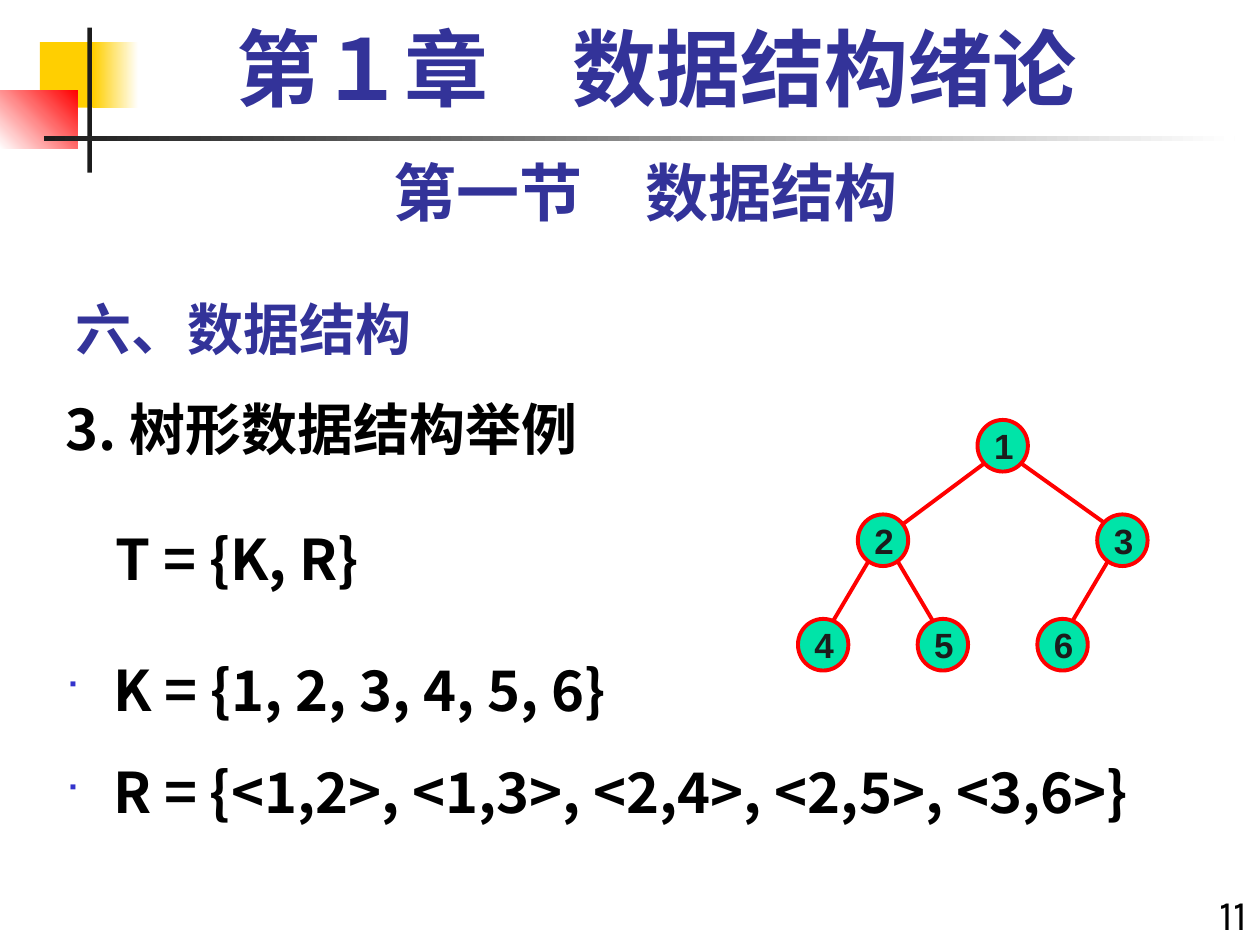
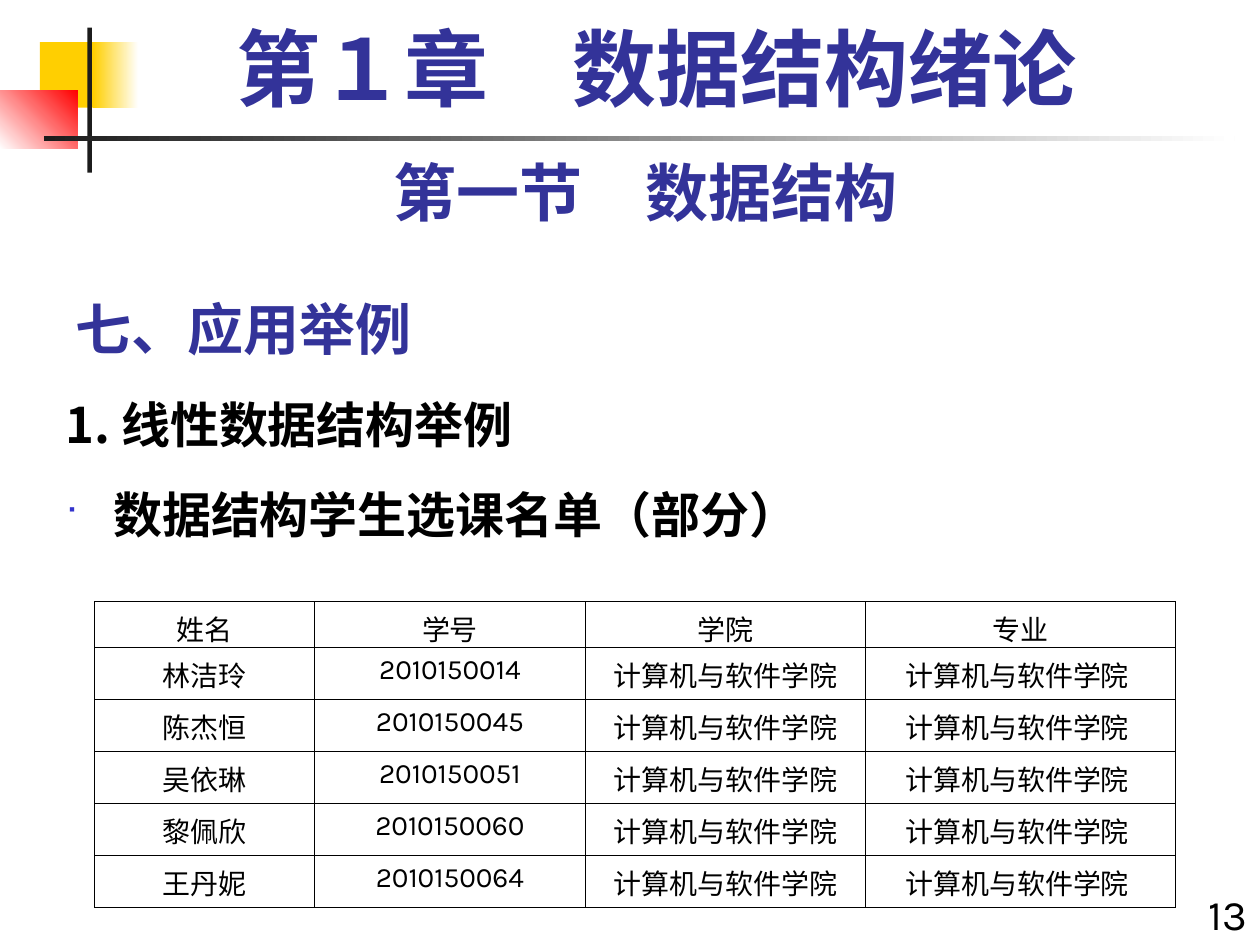
from dataclasses import dataclass

from lxml import etree
from pptx import Presentation
from pptx.dml.color import RGBColor
from pptx.enum.shapes import MSO_CONNECTOR, MSO_SHAPE
from pptx.enum.text import MSO_ANCHOR, PP_ALIGN
from pptx.oxml.ns import qn
from pptx.util import Inches, Pt

RECT, OVAL, STRAIGHT = MSO_SHAPE.RECTANGLE, MSO_SHAPE.OVAL, MSO_CONNECTOR.STRAIGHT
LEFT, CENTER, RIGHT = PP_ALIGN.LEFT, PP_ALIGN.CENTER, PP_ALIGN.RIGHT
TOP, BOTTOM = MSO_ANCHOR.TOP, MSO_ANCHOR.BOTTOM


@dataclass(frozen=True)
class Theme:
    heading: str = "333399"
    ink: str = "000000"
    dark: str = "1C1C1C"
    white: str = "FFFFFF"
    yellow: str = "FFCF01"
    red: str = "FF0000"
    node: str = "00E4A8"
    bullet: str = "3333CC"
    chinese: str = "Noto Sans CJK SC"
    serif: str = "Times New Roman"
    sans: str = "Karla"
    digits: str = "Arial"
    symbols: str = "Wingdings"
    chapter_size: int = 48
    section_size: int = 36
    topic_size: int = 32
    page_size: int = 24
    node_size: int = 20
    table_size: int = 16


theme = Theme()
deck = Presentation()
deck.slide_width, deck.slide_height = Inches(10), Inches(7.5)
UNIT = deck.slide_width / 120  # the grid has 120 columns and 90 rows


def grid(*lengths):
    """Turn columns or rows of the grid into slide lengths."""
    return [round(length * UNIT) for length in lengths]


def write(frame, text, *, size, font=theme.chinese, color=theme.ink, bold=False,
          align=LEFT, anchor=TOP, before=0, after=0, spacing=None,
          margin=0, hanging=0, bullet=False):
    """Add one formatted paragraph to a text frame."""
    paragraph = frame.add_paragraph() if frame.text else frame.paragraphs[0]
    frame.word_wrap, frame.vertical_anchor = True, anchor
    paragraph.alignment = align
    paragraph.space_before, paragraph.space_after = Pt(before), Pt(after)
    if spacing:
        paragraph.line_spacing = spacing
    properties = paragraph._p.get_or_add_pPr()
    properties.set("marL", str(Inches(margin)))
    properties.set("indent", str(-Inches(hanging)))
    if bullet:
        tint = etree.SubElement(properties, qn("a:buClr"))
        etree.SubElement(tint, qn("a:srgbClr"), val=theme.bullet)
        etree.SubElement(properties, qn("a:buSzPct"), val="60000")
        etree.SubElement(properties, qn("a:buFont"), typeface=theme.symbols)
        etree.SubElement(properties, qn("a:buChar"), char="■")
    else:
        etree.SubElement(properties, qn("a:buNone"))
    run = paragraph.add_run()
    run.text = text
    run.font.size, run.font.bold, run.font.name = Pt(size), bold, font
    run.font.color.rgb = RGBColor.from_string(color)
    etree.SubElement(run.font._element, qn("a:ea"), typeface=theme.chinese)


# What the two slides share: bars (place, colours, angle) and headings
bars = [
    ((3.8, 4, 5.8, 6.25), [theme.yellow], 0),
    ((8.88, 4, 4.3, 6.25), [theme.yellow, theme.white], 0),
    ((0, 8.6, 7.4, 5.55), [theme.white, theme.red], 45),
    ((8.33, 2.64, 0.42, 13.8), [theme.dark], 0),
    ((4.2, 12.98, 113.4, 0.42), [theme.dark, theme.white], 0),
]
heading = dict(color=theme.heading, bold=True)
pages = [
    dict(number="11", topic="六、数据结构", topic_width=81, body_height=51,
         size=32, before=20, lines=[
             ("3. 树形数据结构举例", dict(margin=0.38, hanging=0.38)),
             ("T = {K, R}", dict(margin=0.4, before=36, after=16)),
             ("K = {1, 2, 3, 4, 5, 6}", dict(bullet=True)),
             ("R = {<1,2>, <1,3>, <2,4>, <2,5>, <3,6>}", dict(bullet=True))]),
    dict(number="13", topic="七、应用举例", topic_width=103.3, body_height=39.2,
         size=28, before=17.5, lines=[
             ("1. 线性数据结构举例", dict(margin=0.38, hanging=0.38)),
             ("数据结构学生选课名单（部分）", dict(bullet=True))]),
]

slides = []
for page in pages:
    slide = deck.slides.add_slide(deck.slide_layouts[6])
    slides.append(slide)

    # Corner ornament and rule under the chapter title
    for place, colors, angle in bars:
        bar = slide.shapes.add_shape(RECT, *grid(*place))
        bar.shadow.inherit = False
        bar.line.fill.background()
        if len(colors) == 1:
            bar.fill.solid()
            bar.fill.fore_color.rgb = RGBColor.from_string(colors[0])
            continue
        bar.fill.gradient()
        bar.fill.gradient_angle = angle
        for position, (stop, color) in enumerate(zip(bar.fill.gradient_stops, colors)):
            stop.position = position
            stop.color.rgb = RGBColor.from_string(color)

    # Chapter, section, topic and page number
    texts = [
        ((8, 2.08, 109, 10), "第１章　数据结构绪论",
         dict(size=theme.chapter_size, font=theme.serif, align=CENTER,
              spacing=0.9, **heading)),
        ((6, 14, 111, 8.4), "第一节　数据结构",
         dict(size=theme.section_size, font=theme.sans, align=CENTER, **heading)),
        ((6, 26, page["topic_width"], 9), page["topic"],
         dict(size=theme.topic_size, anchor=BOTTOM, **heading)),
        ((112, 84, 8, 6), page["number"],
         dict(size=theme.page_size, font=theme.sans, align=RIGHT)),
    ]
    for place, text, style in texts:
        write(slide.shapes.add_textbox(*grid(*place)).text_frame, text, **style)

    # Body lines
    body = slide.shapes.add_textbox(*grid(5.04, 37, 114.96, page["body_height"])).text_frame
    for row, (text, style) in enumerate(page["lines"]):
        style = dict(before=page["before"] if row else 0) | style
        if style.get("bullet"):
            style |= dict(margin=0.38, hanging=0.38)
        write(body, text, size=page["size"], bold=True, **style)

tree_slide, roster_slide = slides

# Tree: each node has a column and a level
LEVELS = [42.45, 51.45, 61.4]
FIRST_COLUMN, COLUMN_STEP = 78.4, 5.7
NODE_WIDTH, NODE_HEIGHT = 4.8, 4.92
LABEL_WIDTH, LABEL_HEIGHT = 4.2, 4
slots = {1: (3, 0), 2: (1, 1), 3: (5, 1), 4: (0, 2), 5: (2, 2), 6: (4, 2)}
centers = {node: (FIRST_COLUMN + column * COLUMN_STEP, LEVELS[level])
           for node, (column, level) in slots.items()}

# Edges: parent, child, inset at the parent, insets across and up at the child
edges = [(1, 3, 1.5, 1.5, 1.5), (1, 2, 1.5, 0.5, 0.5), (2, 5, 0.5, 0.5, 1.5),
         (3, 6, 0.5, 0.5, 1.5), (2, 4, 0.5, 0.5, 1.5)]
for parent, child, inset, across, up in edges:
    (x1, y1), (x2, y2) = centers[parent], centers[child]
    side = 1 if x2 > x1 else -1
    edge = tree_slide.shapes.add_connector(
        STRAIGHT, *grid(x1 + side * inset, y1 + inset, x2 - side * across, y2 - up))
    edge.line.color.rgb = RGBColor.from_string(theme.red)
    edge.line.width = Pt(2.25)
    etree.SubElement(edge._element.spPr, qn("a:effectLst"))

for node, (x, y) in centers.items():
    circle = tree_slide.shapes.add_shape(
        OVAL, *grid(x - NODE_WIDTH / 2, y - NODE_HEIGHT / 2, NODE_WIDTH, NODE_HEIGHT))
    circle.shadow.inherit = False
    circle.fill.solid()
    circle.fill.fore_color.rgb = RGBColor.from_string(theme.node)
    circle.line.color.rgb = RGBColor.from_string(theme.red)
    circle.line.width = Pt(2.25)
    label = tree_slide.shapes.add_textbox(
        *grid(x - 2, y - 2, LABEL_WIDTH, LABEL_HEIGHT)).text_frame
    label.margin_left = label.margin_right = label.margin_top = label.margin_bottom = 0
    write(label, str(node), size=theme.node_size, font=theme.digits,
          color=theme.dark, bold=True, align=CENTER)

# Course roster: every student shares the same college and major
COLLEGE = "计算机与软件学院"
students = [("林洁玲", "2010150014"), ("陈杰恒", "2010150045"), ("吴依琳", "2010150051"),
            ("黎佩欣", "2010150060"), ("王丹妮", "2010150064")]
records = [("姓名", "学号", "学院", "专业")]
records += [(*student, COLLEGE, COLLEGE + " ") for student in students]
column_widths = grid(20.95, 25.8, 26.7, 29.5)
row_heights = grid(4.4, *[4.95] * len(students))

roster = roster_slide.shapes.add_table(
    len(records), len(column_widths), *grid(9, 57.28),
    sum(column_widths), sum(row_heights)).table
roster.first_row = roster.horz_banding = False
for column, width in zip(roster.columns, column_widths):
    column.width = width
for row, height in zip(roster.rows, row_heights):
    row.height = height

for r, record in enumerate(records):
    for c, text in enumerate(record):
        cell = roster.cell(r, c)
        font = theme.serif if r == 0 or c == 2 else theme.sans
        write(cell.text_frame, text, size=theme.table_size, font=font, align=CENTER)
        borders = cell._tc.get_or_add_tcPr()
        for side in ("a:lnL", "a:lnR", "a:lnT", "a:lnB"):
            border = etree.SubElement(borders, qn(side), w=str(Pt(0.45)))
            paint = etree.SubElement(border, qn("a:solidFill"))
            etree.SubElement(paint, qn("a:srgbClr"), val=theme.ink)
        cell.fill.background()

deck.save("out.pptx")
